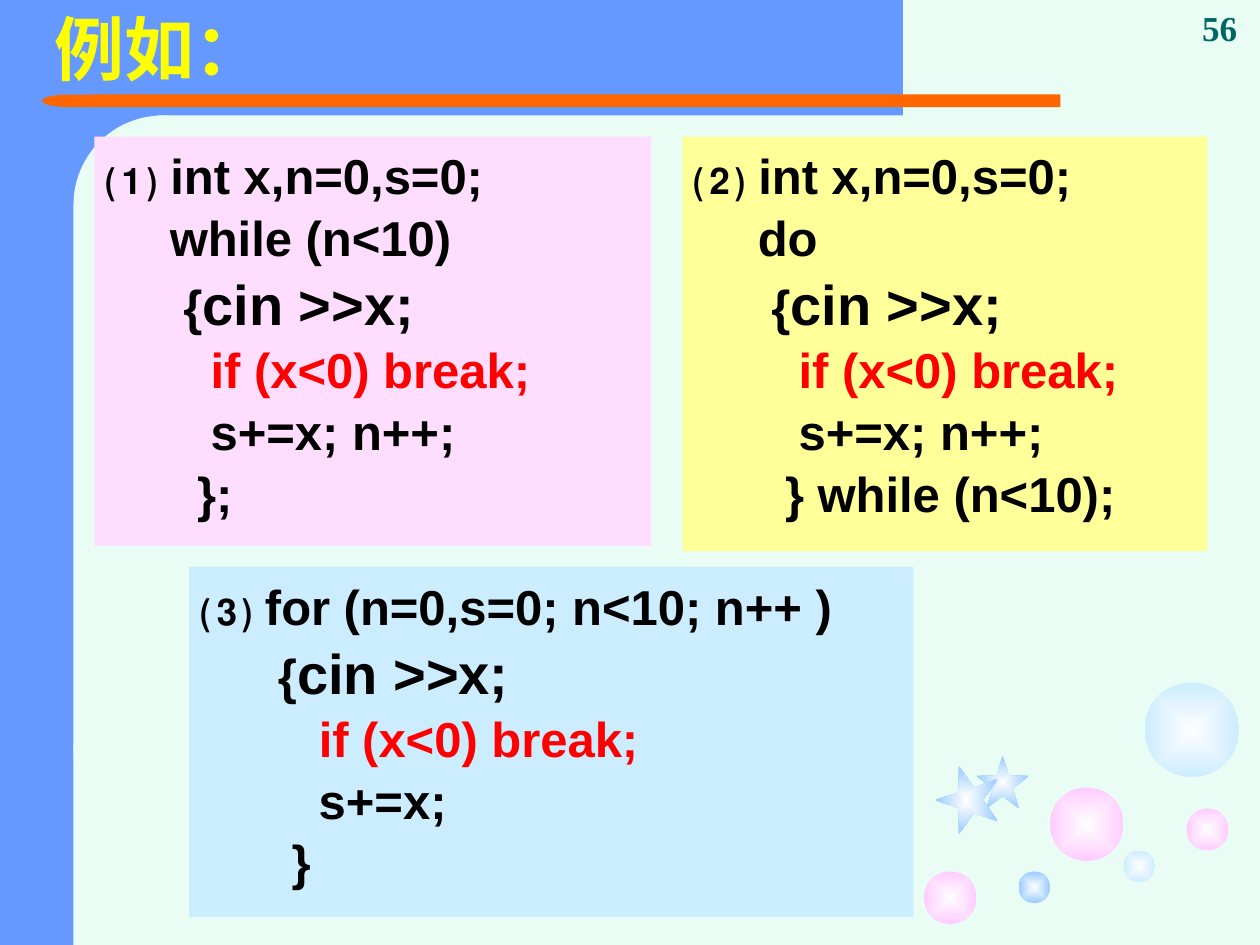
from lxml import etree
from pptx import Presentation
from pptx.dml.color import RGBColor
from pptx.enum.shapes import MSO_SHAPE
from pptx.enum.text import MSO_ANCHOR, PP_ALIGN
from pptx.oxml.ns import qn
from pptx.util import Pt

RECTANGLE, ROUNDED = MSO_SHAPE.RECTANGLE, MSO_SHAPE.ROUNDED_RECTANGLE
DELAY, OVAL, STAR = MSO_SHAPE.FLOWCHART_DELAY, MSO_SHAPE.OVAL, MSO_SHAPE.STAR_5_POINT
TOP, MIDDLE, BOTTOM = MSO_ANCHOR.TOP, MSO_ANCHOR.MIDDLE, MSO_ANCHOR.BOTTOM
LEFT, CENTER, JUSTIFY = PP_ALIGN.LEFT, PP_ALIGN.CENTER, PP_ALIGN.JUSTIFY

MINT = RGBColor(0xE9, 0xFD, 0xF4)
BLUE = RGBColor(0x66, 0x99, 0xFF)
ORANGE = RGBColor(0xFF, 0x66, 0x00)
YELLOW = RGBColor(0xFF, 0xFF, 0x00)
TEAL = RGBColor(0x00, 0x66, 0x66)
BLACK = RGBColor(0x00, 0x00, 0x00)
RED = RGBColor(0xFF, 0x00, 0x00)
PALE_PINK = RGBColor(0xFF, 0xDD, 0xFF)
PALE_YELLOW = RGBColor(0xFF, 0xFF, 0x99)
PALE_BLUE = RGBColor(0xCC, 0xEC, 0xFF)
PINK = RGBColor(0xFF, 0xCC, 0xFF)
SKY = RGBColor(0x99, 0xCC, 0xFF)
GLOW = RGBColor(0xFE, 0xFE, 0xFE)

# Code lines: each is a list of (text, size, colour) runs
READ = [(" {", 28, BLACK), ("cin >>x;", 32, BLACK)]


def code(text):
    return [(text, 28, BLACK)]


def break_line(indent):
    return [(indent, 28, BLACK), ("if (x<0) break;", 28, RED)]


WHILE_LOOP = [code("⑴ int x,n=0,s=0;"), code("while (n<10)"), READ,
              break_line("   "), code("   s+=x; n++;"), code("  };")]
DO_LOOP = [code("⑵ int x,n=0,s=0;"), code("do"), READ,
           break_line("   "), code("   s+=x; n++;"), code("  } while (n<10);")]
FOR_LOOP = [code("⑶ for (n=0,s=0; n<10; n++ )"), READ,
            break_line("    "), code("    s+=x;"), code("  }")]

# Bubbles and stars: kind, left, top, width, height, rotation, edge colour
ORNAMENTS = [
    (OVAL, 600, 450, 42, 42, 0, PINK),
    (OVAL, 528, 498, 30, 30, 0, PINK),
    (OVAL, 642, 486, 18, 18, 0, PALE_BLUE),
    (OVAL, 678, 462, 24, 24, 0, PINK),
    (OVAL, 654, 390, 54, 54, 0, PALE_BLUE),
    (OVAL, 582, 498, 18, 18, 0, SKY),
    (STAR, 558, 432, 30, 30, 0, SKY),
    (STAR, 532.8, 439.2, 38.9, 36, 270, SKY),
]


def add_block(slide, kind, left, top, width, height, color):
    block = slide.shapes.add_shape(kind, Pt(left), Pt(top), Pt(width), Pt(height))
    block.shadow.inherit = False
    block.line.fill.background()
    block.fill.solid()
    block.fill.fore_color.rgb = color
    return block


def add_ornament(slide, kind, left, top, width, height, rotation, edge):
    ornament = add_block(slide, kind, left, top, width, height, edge)
    ornament.rotation = rotation
    ornament.fill.gradient()
    for stop, color in zip(ornament.fill.gradient_stops, (GLOW, edge)):
        stop.color.rgb = color
    # Swap the linear direction for a rectangular glow from the centre
    gradient = ornament._element.spPr.find(qn("a:gradFill"))
    linear = gradient.find(qn("a:lin"))
    glow = etree.Element(qn("a:path"), path="rect")
    etree.SubElement(glow, qn("a:fillToRect"),
                     {side: "50000" for side in "ltrb"})
    gradient.replace(linear, glow)


def add_span(para, text, size, color, font="Arial"):
    span = para.add_run()
    span.text = text
    span.font.size = Pt(size)
    span.font.bold = True
    span.font.name = font
    span.font.color.rgb = color


def add_label(slide, left, top, width, height, text, size, color, font, anchor, align):
    box = slide.shapes.add_textbox(Pt(left), Pt(top), Pt(width), Pt(height))
    frame = box.text_frame
    frame.word_wrap = True
    frame.vertical_anchor = anchor
    para = frame.paragraphs[0]
    para.alignment = align
    add_span(para, text, size, color, font)
    return para


def add_code_panel(slide, left, top, width, height, color, lines, align=LEFT):
    frame = add_block(slide, RECTANGLE, left, top, width, height, color).text_frame
    frame.word_wrap = True
    frame.vertical_anchor = TOP
    for index, line in enumerate(lines):
        para = frame.paragraphs[0] if index == 0 else frame.add_paragraph()
        para.alignment = align
        para.line_spacing = 1.05
        if index:
            para.level = 1
            para._p.get_or_add_pPr().set("marL", str(Pt(36)))
            para._p.get_or_add_pPr().set("indent", "0")
        for text, size, ink in line:
            add_span(para, text, size, ink)


def add_backdrop(slide):
    slide.background.fill.solid()
    slide.background.fill.fore_color.rgb = MINT
    # Blue frame with a rounded inner corner
    add_block(slide, RECTANGLE, 0, 0, 90, 540, BLUE)
    add_block(slide, RECTANGLE, 36, 0, 480, 66, BLUE)
    add_block(slide, ROUNDED, 42, 66, 102, 414, MINT).adjustments[0] = 0.5
    # Orange rule with a rounded left end
    add_block(slide, RECTANGLE, 54, 54, 552, 7.2, ORANGE)
    add_block(slide, DELAY, 24, 54, 31, 7.2, ORANGE).rotation = 180
    add_block(slide, RECTANGLE, 42, 426, 102, 114, MINT)
    for ornament in ORNAMENTS:
        add_ornament(slide, *ornament)


def main():
    deck = Presentation()
    deck.slide_width, deck.slide_height = Pt(720), Pt(540)
    slide = deck.slides.add_slide(deck.slide_layouts[6])
    add_backdrop(slide)

    # Title
    title = add_label(slide, 24, 0, 606, 60, "例如：", 40, YELLOW, "Arial", MIDDLE, LEFT)
    title.line_spacing = 0.9

    # Three loops
    add_code_panel(slide, 54, 78, 318, 234, PALE_PINK, WHILE_LOOP, JUSTIFY)
    add_code_panel(slide, 390, 78, 300, 237, PALE_YELLOW, DO_LOOP)
    add_code_panel(slide, 108, 324, 414, 200, PALE_BLUE, FOR_LOOP)

    # Page number
    add_label(slide, 674, 0, 46, 31.5, "56", 20, TEAL, "Times New Roman", BOTTOM, CENTER)
    deck.save("out.pptx")


if __name__ == "__main__":
    main()
